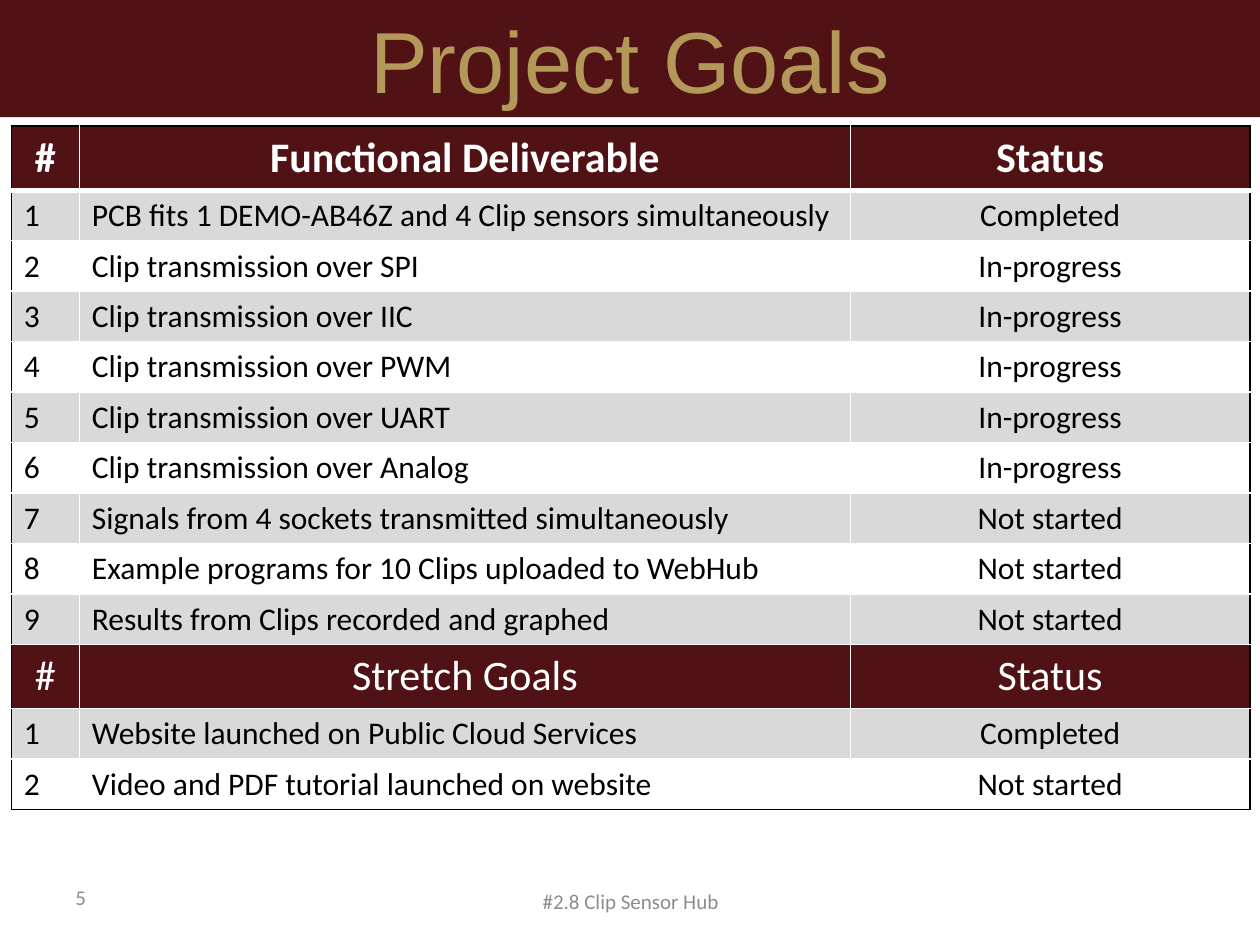
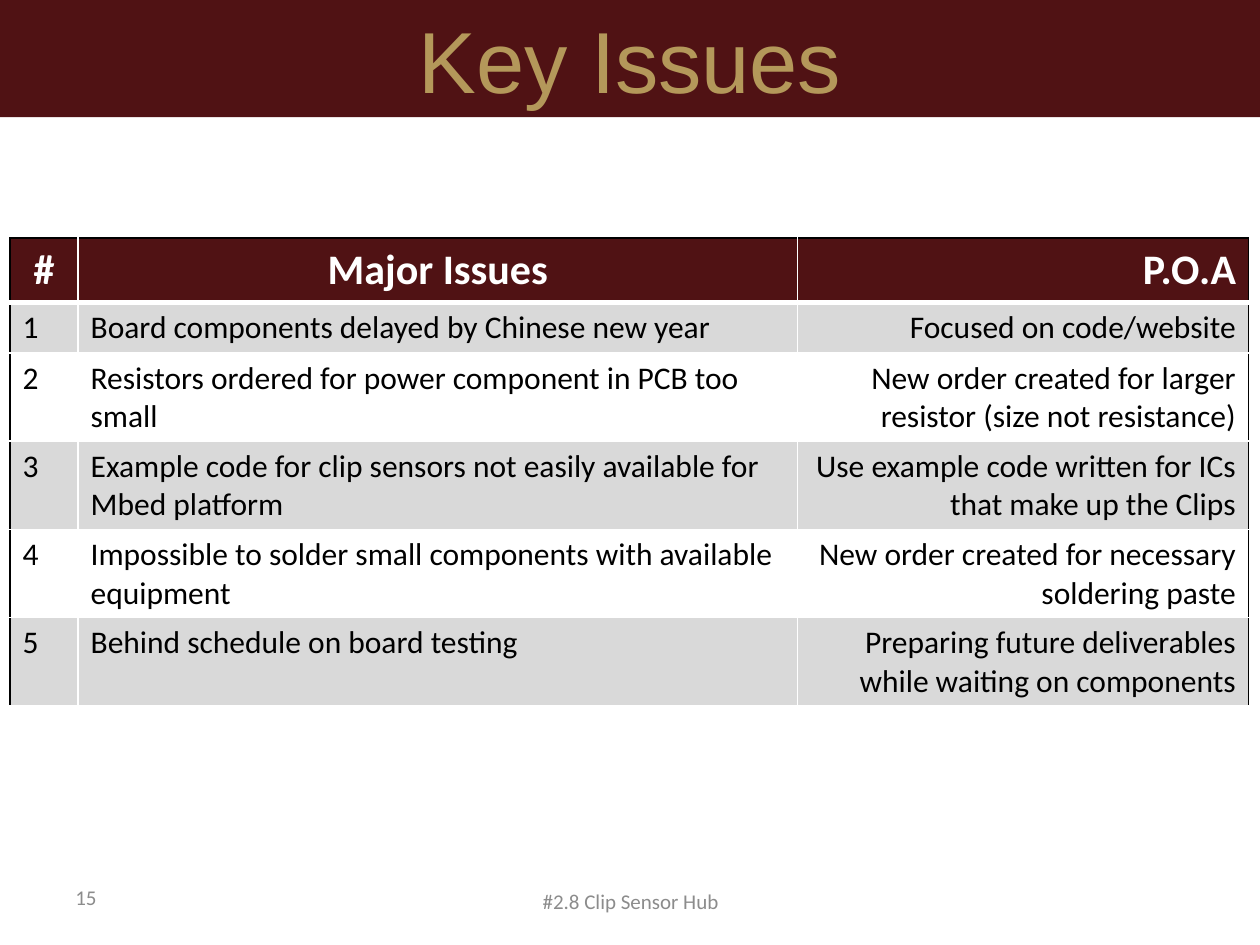
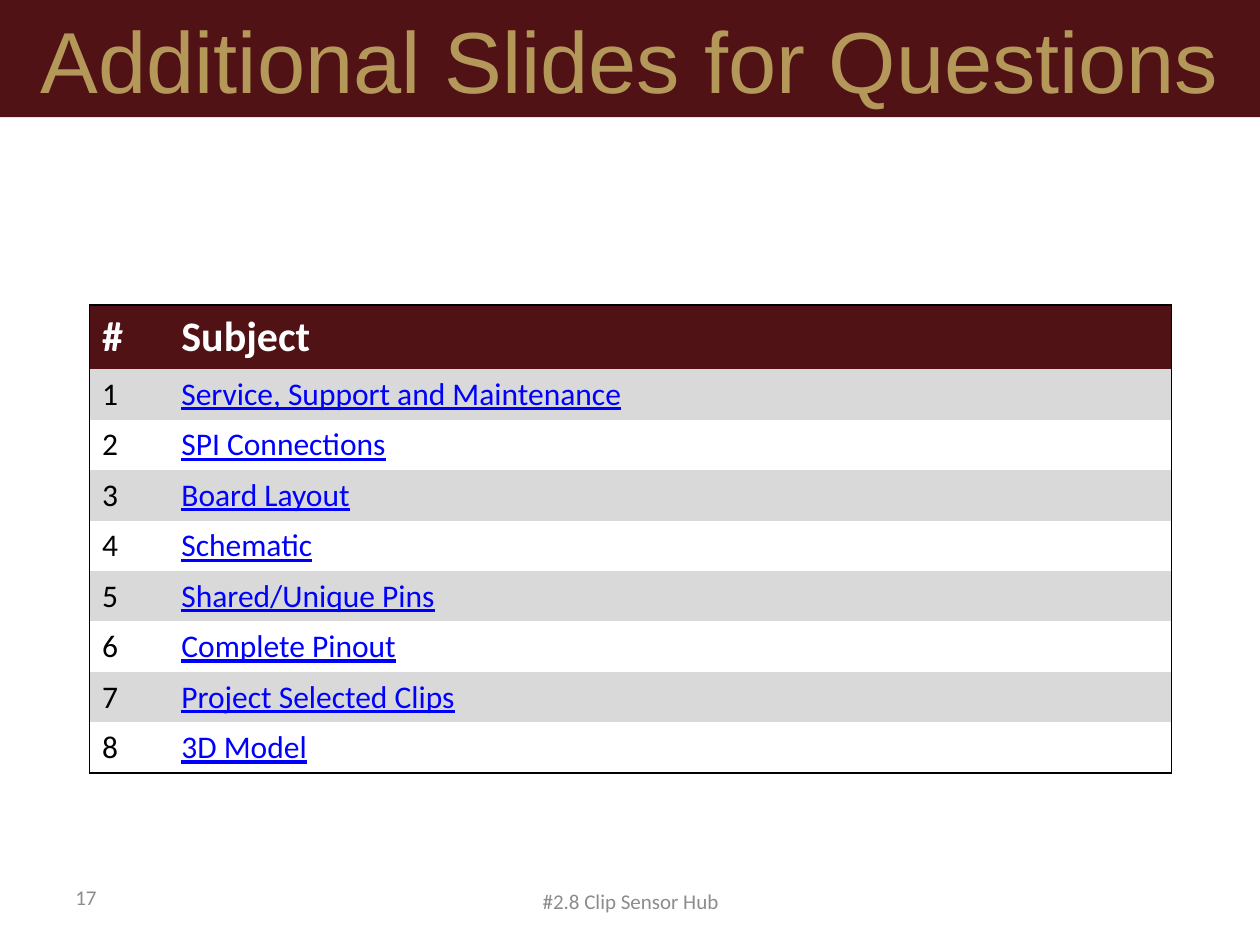
from dataclasses import dataclass

from pptx import Presentation
from pptx.dml.color import RGBColor
from pptx.enum.text import MSO_ANCHOR, PP_ALIGN
from pptx.oxml.ns import qn
from pptx.oxml.xmlchemy import OxmlElement
from pptx.util import Inches, Pt

MAROON = RGBColor(0x50, 0x12, 0x14)
GOLD = RGBColor(0xB4, 0x98, 0x5A)
STRIPE_GRAY = RGBColor(0xD9, 0xD9, 0xD9)
FOOTER_GRAY = RGBColor(0x8C, 0x8C, 0x8C)
LINK_BLUE = RGBColor(0x00, 0x00, 0xFF)
WHITE = RGBColor(0xFF, 0xFF, 0xFF)
BLACK = RGBColor(0x00, 0x00, 0x00)

TITLE_FONT = "Arial"
BODY_FONT = "Calibri"
FOOTER_TEXT = "#2.8 Clip Sensor Hub"
PLAIN_TABLE_STYLE = "{2D5ABB26-0587-4C30-8999-92F81FD0307C}"
HEADER_HEIGHT = 0.51
ONE_LINE = 0.4
TWO_LINES = 0.7

LEFT, CENTER, RIGHT = PP_ALIGN.LEFT, PP_ALIGN.CENTER, PP_ALIGN.RIGHT

DELIVERABLES = [
    ("PCB fits 1 DEMO-AB46Z and 4 Clip sensors simultaneously", "Completed"),
    ("Clip transmission over SPI", "In-progress"),
    ("Clip transmission over IIC", "In-progress"),
    ("Clip transmission over PWM", "In-progress"),
    ("Clip transmission over UART", "In-progress"),
    ("Clip transmission over Analog", "In-progress"),
    ("Signals from 4 sockets transmitted simultaneously", "Not started"),
    ("Example programs for 10 Clips uploaded to WebHub", "Not started"),
    ("Results from Clips recorded and graphed", "Not started"),
]
STRETCH_GOALS = [
    ("Website launched on Public Cloud Services", "Completed"),
    ("Video and PDF tutorial launched on website", "Not started"),
]
ISSUES = [
    ("Board components delayed by Chinese new year", "Focused on code/website"),
    ("Resistors ordered for power component in PCB too small",
     "New order created for larger resistor (size not resistance)"),
    ("Example code for clip sensors not easily available for Mbed platform",
     "Use example code written for ICs that make up the Clips"),
    ("Impossible to solder small components with available equipment",
     "New order created for necessary soldering paste"),
    ("Behind schedule on board testing",
     "Preparing future deliverables while waiting on components"),
]
SUBJECTS = [
    ("Service, Support and Maintenance",),
    ("SPI Connections",),
    ("Board Layout",),
    ("Schematic",),
    ("Shared/Unique Pins",),
    ("Complete Pinout",),
    ("Project Selected Clips",),
    ("3D Model",),
]


@dataclass
class TableLook:
    header_alignments: tuple
    body_alignments: tuple
    grid_color: RGBColor = WHITE
    bottom_color: RGBColor = BLACK
    underlined_column: int = -1


def format_paragraph(paragraph, size, color, alignment=LEFT, font=BODY_FONT,
                     bold=False, underline=False):
    paragraph.alignment = alignment
    for run in paragraph.runs:
        run.font.name = font
        run.font.size = Pt(size)
        run.font.bold = bold
        run.font.underline = underline
        run.font.color.rgb = color


def add_footer_text(slide, text, left, top, width, alignment):
    box = slide.shapes.add_textbox(Inches(left), Inches(top), Inches(width), Inches(0.4))
    frame = box.text_frame
    frame.word_wrap = True
    frame.vertical_anchor = MSO_ANCHOR.MIDDLE
    frame.text = text
    format_paragraph(frame.paragraphs[0], 12, FOOTER_GRAY, alignment)


def add_titled_slide(presentation, title_text, number):
    slide = presentation.slides.add_slide(presentation.slide_layouts[5])
    title = slide.shapes.title
    title.left, title.top = Inches(0), Inches(0)
    title.width, title.height = presentation.slide_width, Inches(0.93)
    title.fill.solid()
    title.fill.fore_color.rgb = MAROON
    title.text_frame.text = title_text
    title.text_frame.vertical_anchor = MSO_ANCHOR.MIDDLE
    format_paragraph(title.text_frame.paragraphs[0], 49.5, GOLD, CENTER, TITLE_FONT)
    add_footer_text(slide, FOOTER_TEXT, 3.42, 6.95, 3.17, CENTER)
    add_footer_text(slide, str(number), 0.5, 6.92, 2.33, LEFT)
    return slide


def add_border(cell, side, color, width):
    if color is None:
        return
    line = OxmlElement(f"a:ln{side}")
    line.set("w", str(Pt(width)))
    fill = OxmlElement("a:solidFill")
    color_element = OxmlElement("a:srgbClr")
    color_element.set("val", str(color))
    fill.append(color_element)
    line.append(fill)
    cell._tc.get_or_add_tcPr().append(line)


def draw_borders(cell, row, column, last_row, last_column, look):
    grid = look.grid_color
    add_border(cell, "L", BLACK if column == 0 else grid, 1)
    add_border(cell, "R", BLACK if column == last_column else grid, 1)
    add_border(cell, "T", BLACK if row == 0 else grid, 3 if row == 1 else 1)
    add_border(cell, "B", look.bottom_color if row == last_row else grid,
               3 if row == 0 else 1)


def fill_cell(cell, text, color):
    cell.fill.solid()
    cell.fill.fore_color.rgb = color
    cell.text_frame.text = text
    return cell.text_frame.paragraphs[0]


def fill_header_cell(cell, text, alignment, bold):
    format_paragraph(fill_cell(cell, text, MAROON), 24, WHITE, alignment, bold=bold)


def fill_body_cell(cell, text, number, alignment, linked):
    stripe = STRIPE_GRAY if number % 2 else WHITE
    format_paragraph(fill_cell(cell, text, stripe), 18, LINK_BLUE if linked else BLACK,
                     alignment, underline=linked)


def add_numbered_table(slide, left, top, column_widths, sections, look, body_heights):
    lines = []
    for headings, entries in sections:
        lines.append((0, ("#", *headings)))
        lines += [(number, (str(number), *entry)) for number, entry in enumerate(entries, 1)]
    remaining_heights = iter(body_heights)
    heights = [next(remaining_heights) if number else HEADER_HEIGHT for number, _ in lines]

    graphic_frame = slide.shapes.add_table(
        len(lines), len(column_widths), Inches(left), Inches(top),
        Inches(sum(column_widths)), Inches(sum(heights)))
    table = graphic_frame.table
    table._tbl.tblPr.find(qn("a:tableStyleId")).text = PLAIN_TABLE_STYLE
    for column, width in zip(table.columns, column_widths):
        column.width = Inches(width)
    for row, height in zip(table.rows, heights):
        row.height = Inches(height)

    for row, (number, texts) in enumerate(lines):
        for column, text in enumerate(texts):
            cell = table.cell(row, column)
            draw_borders(cell, row, column, len(lines) - 1, len(texts) - 1, look)
            if number:
                fill_body_cell(cell, text, number, look.body_alignments[column],
                               column == look.underlined_column)
            else:
                fill_header_cell(cell, text, look.header_alignments[column], row == 0)


def main():
    presentation = Presentation()
    presentation.slide_width = Inches(10)
    presentation.slide_height = Inches(7.5)

    goals = add_titled_slide(presentation, "Project Goals", 5)
    add_numbered_table(
        goals, 0.09, 1, (0.54, 6.12, 3.17),
        [(("Functional Deliverable", "Status"), DELIVERABLES),
         (("Stretch Goals", "Status"), STRETCH_GOALS)],
        TableLook((CENTER, CENTER, CENTER), (LEFT, LEFT, CENTER)),
        [ONE_LINE] * (len(DELIVERABLES) + len(STRETCH_GOALS)))

    issues = add_titled_slide(presentation, "Key Issues", 15)
    add_numbered_table(
        issues, 0.08, 1.89, (0.54, 5.71, 3.58),
        [(("Major Issues", "P.O.A"), ISSUES)],
        TableLook((CENTER, CENTER, RIGHT), (LEFT, LEFT, RIGHT), bottom_color=WHITE),
        [ONE_LINE] + [TWO_LINES] * (len(ISSUES) - 1))

    questions = add_titled_slide(presentation, "Additional Slides for Questions", 17)
    add_numbered_table(
        questions, 0.71, 2.42, (0.63, 7.96),
        [(("Subject",), SUBJECTS)],
        TableLook((LEFT, LEFT), (LEFT, LEFT), grid_color=None, underlined_column=1),
        [ONE_LINE] * len(SUBJECTS))

    presentation.save("out.pptx")


if __name__ == "__main__":
    main()
